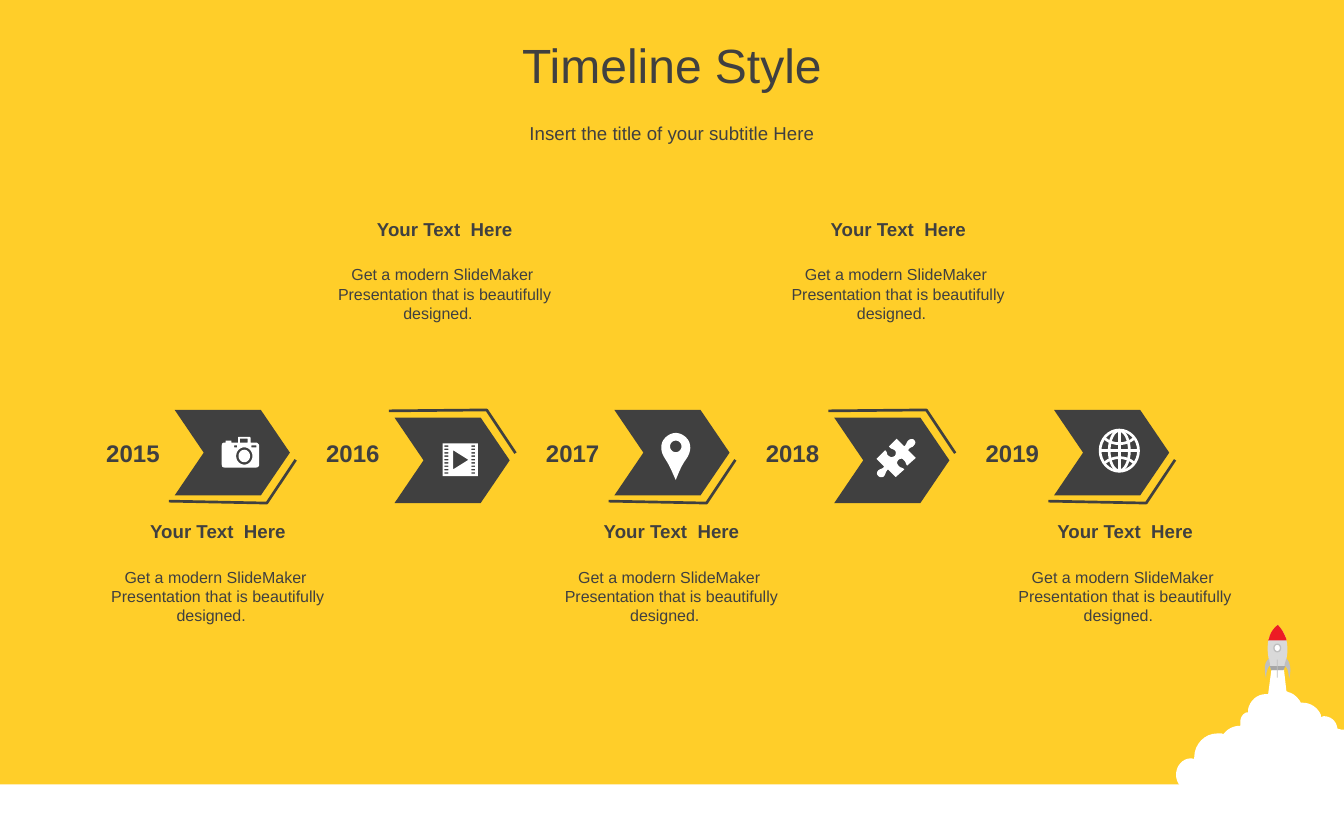
"""Build a five-stage timeline slide with a rocket taking off in the corner."""
import math

import pptx
import pptx.dml.color
import pptx.enum.shapes
import pptx.enum.text
import pptx.util

Pt = pptx.util.Pt
RGBColor = pptx.dml.color.RGBColor
PRESET = pptx.enum.shapes.MSO_SHAPE
ANCHOR = pptx.enum.text.MSO_ANCHOR

YELLOW = RGBColor(0xFF, 0xCE, 0x29)
DARK = RGBColor(0x40, 0x40, 0x40)
WHITE = RGBColor(0xFF, 0xFF, 0xFF)
RED = RGBColor(0xED, 0x1C, 0x24)
PALE = RGBColor(0xD9, 0xD9, 0xD9)
SILVER = RGBColor(0xBF, 0xBF, 0xBF)
STEEL = RGBColor(0xA6, 0xA6, 0xA6)

WIDTH, HEIGHT = 1008, 612
CELL = 0.72
BASE = {"name": "Arial", "bold": False}
TITLE = {**BASE, "size": Pt(36)}
SUBTITLE = {**BASE, "size": Pt(14)}
YEAR = {**BASE, "size": Pt(18), "bold": True}
HEADING = {**SUBTITLE, "bold": True}
BODY = {**BASE, "size": Pt(12)}
BODY_TEXT = "Get a modern SlideMaker  Presentation that is beautifully designed.   "


def ring(x, y, rx, ry):
    turns = [math.tau * step / 32 for step in range(33)]
    return [(x + rx * math.cos(turn), y + ry * math.sin(turn)) for turn in turns]


def rectangle(x, y, width, height):
    return [(x, y), (x + width, y), (x + width, y + height), (x, y + height)]


def flatten(path_points):
    points = []
    for knot in path_points:
        if len(knot) == 2:
            points.append(knot)
            continue
        curve = [points[-1], knot[:2], knot[2:4], knot[4:]]
        for step in range(1, 9):
            t = step / 8
            weights = ((1 - t) ** 3, 3 * t * (1 - t) ** 2, 3 * t * t * (1 - t), t ** 3)
            points.append(tuple(sum(w * p[axis] for w, p in zip(weights, curve))
                                for axis in (0, 1)))
    return points


CAMERA = [
    [(0, 9), (0, 7, 1, 6, 3, 6), (4, 6), (4, 4), (10, 4), (10, 6), (17, 6), (17, 2),
     (17, 1, 17, 0, 18, 0), (29, 0), (30, 0, 30, 1, 30, 2), (30, 6), (36, 6),
     (37, 6, 39, 8, 39, 9), (39, 29), (39, 31, 37, 32, 36, 32), (3, 32),
     (1, 32, 0, 31, 0, 29)],
    rectangle(19, 2, 8, 4), rectangle(13, 9, 3, 2), rectangle(31, 9, 5, 2),
    ring(23.5, 20, 8.5, 9), ring(23.5, 20, 6, 6.5)]
FILM = [rectangle(0, 0, 37, 34), [(11, 7), (11, 27), (27, 17)]] + [
    rectangle(x, 2 + 3.5 * row, 4, 1.5) for x in (2, 30) for row in range(9)]
PIN = [
    [(17, 0), (21, 0, 25, 2, 28, 5), (34, 11, 33, 20, 28, 27), (23, 34, 21, 39, 17, 49),
     (12, 38, 11, 35, 6, 27), (1, 20, 0, 11, 6, 5), (9, 2, 13, 0, 17, 0)],
    ring(17, 14, 6, 6)]
PUZZLE = [
    [(39, 1), (41, 3, 41, 5, 39, 7), (37, 10, 35, 8, 33, 12), (41, 20), (32, 28),
     (30, 26, 31, 24, 28, 22), (27, 20, 24, 21, 23, 22), (21, 24, 21, 26, 23, 28),
     (25, 31, 26, 29, 29, 32), (20, 40), (12, 32), (9, 35, 10, 36, 8, 39),
     (6, 41, 3, 40, 2, 39), (0, 37, 0, 35, 2, 33), (4, 31, 6, 32, 8, 29), (0, 21),
     (9, 12), (12, 14, 10, 17, 13, 18), (15, 20, 17, 19, 19, 18),
     (20, 17, 21, 14, 19, 12), (16, 10, 15, 11, 13, 8), (21, 0), (29, 8),
     (32, 5, 31, 4, 33, 2), (35, 0, 38, 0, 39, 1)]]
GLOBE = [
    ring(21, 22.5, 20, 21.5), ring(21, 22.5, 10.5, 21), [(21, 1), (21, 44)],
    [(1, 22.5), (41, 22.5)], [(6, 10), (14, 17, 28, 17, 36, 10)],
    [(6, 35), (14, 28, 28, 28, 36, 35)]]
CLOUD = [
    [(100, 0), (112, 0), (115, 27), (117, 28), (122, 29, 126, 33, 129, 37), (130, 39),
     (132, 39), (140, 39, 148, 44, 151, 52), (151, 54), (154, 53),
     (161, 53, 167, 58, 168, 65), (168, 66), (172, 67), (175, 67), (175, 152),
     (60, 152), (24, 128), (22, 131, 19, 131, 15, 131), (7, 131, 0, 123, 0, 114),
     (0, 105, 7, 97, 15, 97), (16, 97, 18, 97, 19, 98), (19, 96),
     (19, 82, 30, 71, 43, 71), (48, 71), (49, 72), (50, 71), (54, 66, 60, 63, 67, 63),
     (67, 59), (67, 54, 70, 50, 74, 49), (75, 49), (75, 46), (77, 37, 84, 30, 94, 30),
     (96, 30)]]
HULL = [[(9, 47), (6, 33, 0, 14, 16, 0), (31, 15, 26, 35, 22, 47)]]
NOZZLE = [[(8, 43), (24, 43), (22, 47), (9, 47)]]
NOSE = [[(16, 0), (21, 5, 23, 10, 25, 15), (25, 16), (6, 16), (7, 14),
         (8, 9, 11, 4, 16, 0)]]
LEFT_FIN = [[(7, 35), (8, 42), (4, 46, 4, 53, 4, 56), (3, 52, 0, 40, 7, 35)]]
RIGHT_FIN = [[(25, 35), (23, 42), (28, 46, 27, 53, 28, 56), (29, 52, 31, 40, 25, 35)]]

STAGES = [("2015", CAMERA, 49, 28), ("2016", FILM, 50, 35), ("2017", PIN, 47, 24),
          ("2018", PUZZLE, 44, 30), ("2019", GLOBE, 47, 20)]


def paint(shape, fill=None, line=None, weight=1):
    shape.shadow.inherit = False
    for part, color in ((shape.fill, fill), (shape.line.fill, line)):
        if color is None:
            part.background()
        else:
            part.solid()
            part.fore_color.rgb = color
    if line is not None:
        shape.line.width = Pt(weight)


def add_preset(page, preset, left, top, width, height, **colors):
    shape = page.shapes.add_shape(preset, Pt(left), Pt(top), Pt(width), Pt(height))
    paint(shape, **colors)
    return shape


def add_outline(page, left, top, contours, **colors):
    builder = None
    for contour in contours:
        points = [(Pt(left + x * CELL), Pt(top + y * CELL)) for x, y in flatten(contour)]
        if builder is None:
            builder = page.shapes.build_freeform(*points[0])
        else:
            builder.move_to(*points[0])
        builder.add_line_segments(points[1:], close="fill" in colors)
    paint(builder.convert_to_shape(), **colors)


def write(shape, text, style, before=0, anchor=ANCHOR.MIDDLE):
    frame = shape.text_frame
    frame.word_wrap = True
    frame.vertical_anchor = anchor
    para = frame.paragraphs[0]
    para.alignment = pptx.enum.text.PP_ALIGN.CENTER
    para.space_before = Pt(before)
    span = para.add_run()
    span.text = text
    for name, value in style.items():
        setattr(span.font, name, value)
    span.font.color.rgb = DARK


def add_text(page, left, top, width, height, text, style, **options):
    box = page.shapes.add_textbox(Pt(left), Pt(top), Pt(width), Pt(height))
    write(box, text, style, **options)


def add_header(page):
    title = page.shapes.title
    place = {"left": 0, "top": Pt(14.4), "width": Pt(WIDTH), "height": Pt(68.4)}
    for name, value in place.items():
        setattr(title, name, value)
    write(title, "Timeline Style", TITLE, before=7.2)
    add_text(page, 0, 82.8, WIDTH, 34.56, "Insert the title of your subtitle Here",
             SUBTITLE, before=2.8)


def add_launch(page, left, top):
    add_preset(page, PRESET.RECTANGLE, 0, 588.24, WIDTH, HEIGHT - 588.24, fill=WHITE)
    add_outline(page, left, top + 30.24, CLOUD, fill=WHITE)
    left += 64.8
    for contours, color in ((HULL, PALE), (NOZZLE, STEEL), (NOSE, RED)):
        add_outline(page, left, top, contours, fill=color)
    add_preset(page, PRESET.OVAL, left + 8.64, top + 14.4, 5.04, 5.76,
               fill=WHITE, line=SILVER)
    add_preset(page, PRESET.RECTANGLE, left + 10.8, top + 25.92, 0.72, 13.68, fill=SILVER)
    for fin in (LEFT_FIN, RIGHT_FIN):
        add_outline(page, left, top, fin, fill=SILVER)


def add_stage(page, left, top, year, icon, icon_x, icon_y, raised):
    chevron = add_preset(page, PRESET.CHEVRON, left, top + (5.76 if raised else 0),
                         86.4, 64.08, fill=DARK)
    chevron.adjustments[0] = 0.34
    trail = [(126, 45), (96, 0), (-6, 1)] if raised else [(126, 52), (96, 97), (-6, 95)]
    add_outline(page, left, top, [trail], line=DARK, weight=2)
    colors = {"line": WHITE, "weight": 2} if icon is GLOBE else {"fill": WHITE}
    add_outline(page, left + icon_x * CELL, top + icon_y * CELL, icon, **colors)
    add_text(page, left - 76.32, top + 18, 90, 28.8, year, YEAR)


def add_caption(page, left, top):
    add_text(page, left, top, 200.16, 23.76, "Your Text  Here", HEADING, anchor=ANCHOR.TOP)
    add_text(page, left, top + 35.28, 200.16, 50.4, BODY_TEXT, BODY, anchor=ANCHOR.TOP)


def main():
    deck = pptx.Presentation()
    deck.slide_width, deck.slide_height = Pt(WIDTH), Pt(HEIGHT)
    page = deck.slides.add_slide(deck.slide_layouts[5])
    page.background.fill.solid()
    page.background.fill.fore_color.rgb = YELLOW
    add_launch(page, 882, 468.72)
    add_header(page)
    for index, stage in enumerate(STAGES):
        raised = index % 2 == 1
        add_stage(page, 131.04 + 164.88 * index, 307.44, *stage, raised)
        add_caption(page, 63.36 + 170.1 * index, 159.84 if raised else 386.64)
    deck.save("out.pptx")


main()
